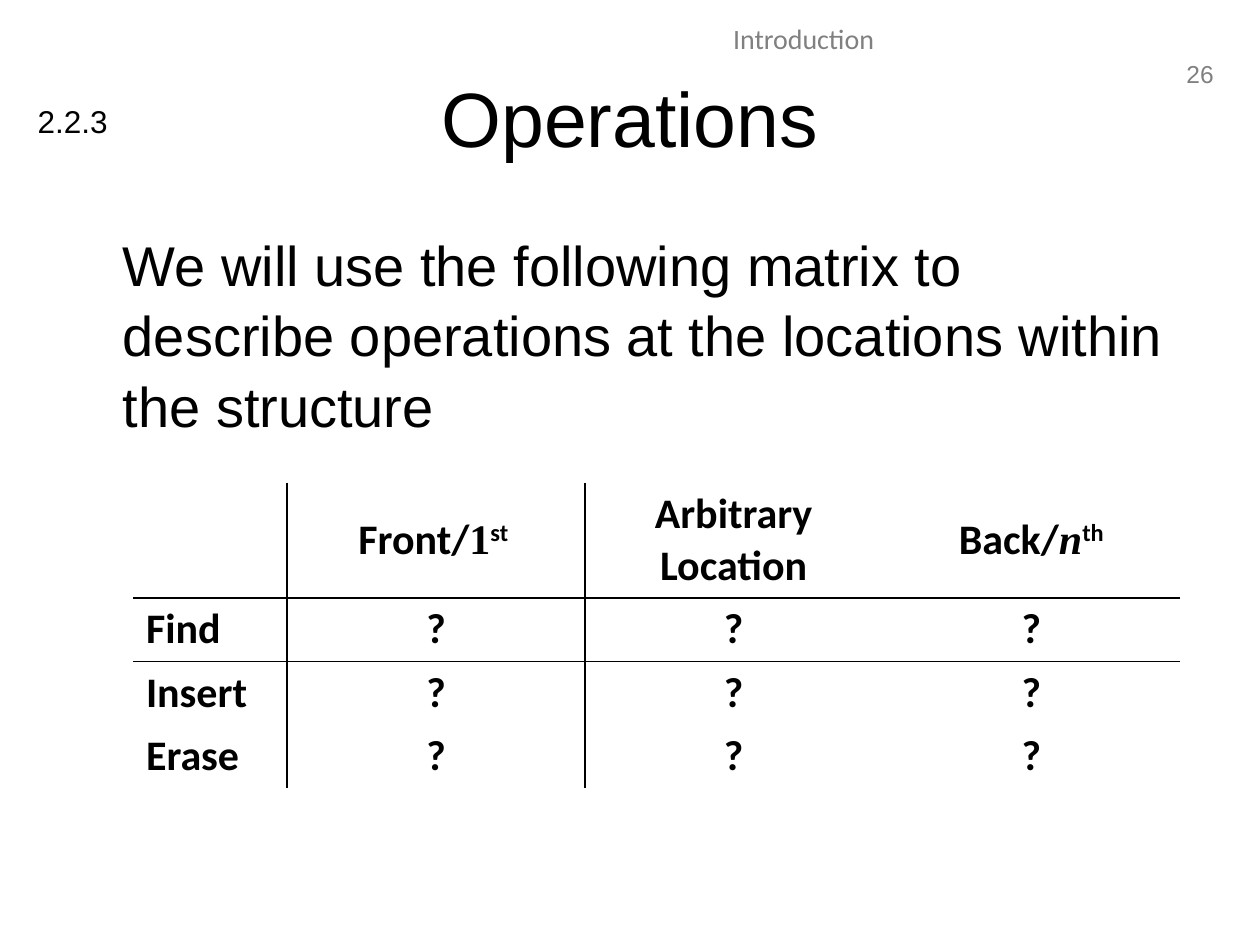
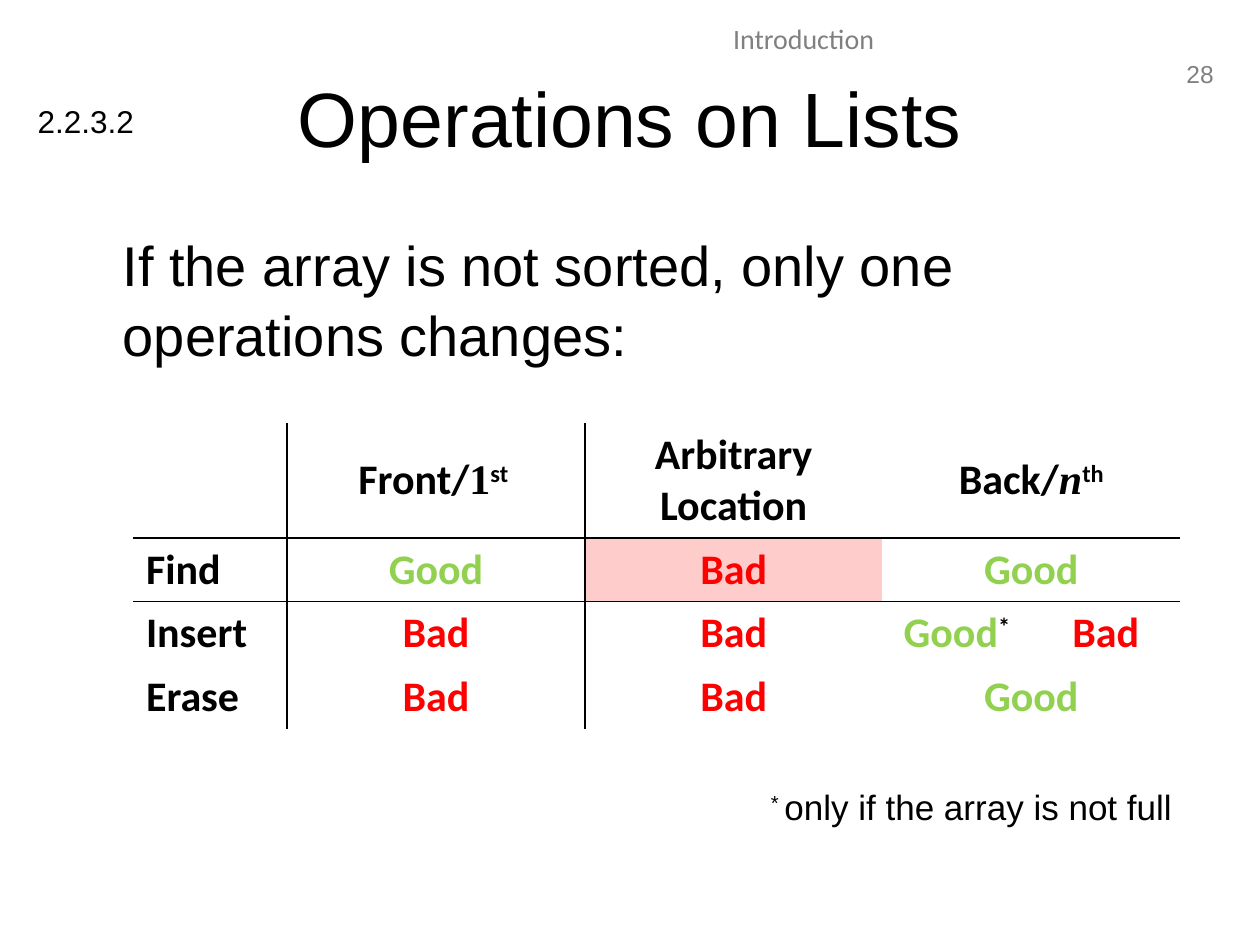
from dataclasses import dataclass, replace

from lxml import etree
from pptx import Presentation
from pptx import util as u
from pptx.dml.color import RGBColor
from pptx.enum import text
from pptx.oxml import ns

BLACK = RGBColor(0x00, 0x00, 0x00)
GREY = RGBColor(0x80, 0x80, 0x80)
GREEN = RGBColor(0x92, 0xD0, 0x50)
RED = RGBColor(0xFF, 0x00, 0x00)
PINK = RGBColor(0xFF, 0xCC, 0xCC)

LEFT, CENTER, RIGHT = text.PP_ALIGN.LEFT, text.PP_ALIGN.CENTER, text.PP_ALIGN.RIGHT


@dataclass(frozen=True)
class Run:
    words: str
    size: int = 24
    font: str = "Calibri"
    color: RGBColor = BLACK
    bold: bool = True
    italic: bool = False
    raised: bool = False


def plain(words, size, font="Arial", color=BLACK):
    return Run(words, size, font, color, bold=False)


FRONT = [[Run("Front/"), Run("1", font="Times New Roman"), Run("st ", raised=True)]]
ARBITRARY = [[Run("Arbitrary")], [Run("Location")]]
BACK = [[Run("Back/"), Run("n", font="Times New Roman", italic=True), Run("th", raised=True)]]
HEADER = [[], FRONT, ARBITRARY, BACK]

UNKNOWN = [[Run("?")]]
GOOD = [[Run("Good", color=GREEN)]]
BAD = [[Run("Bad", color=RED)]]
GOOD_IF_SPACE = [[*GOOD[0], Run("*", raised=True)]]


class LectureDeck:
    label_width = 3.1
    location_width = 6
    header_height = 2.32
    row_height = 1.28

    def __init__(self):
        self.presentation = Presentation()
        self.presentation.slide_width = u.Cm(25.4)
        self.presentation.slide_height = u.Cm(19.05)
        self.slide = None

    def start_slide(self, number, section, section_width, title, sentence):
        layout = self.presentation.slide_layouts[1]
        self.slide = self.presentation.slides.add_slide(layout)
        self.textbox(23.6, 1.07, 1.12, 0.84, [plain(number, 14, color=GREY)], RIGHT, wrap=False)
        self.textbox(8.1, 0.3, 16.2, 1.02, [plain("Introduction", 16, "Calibri", GREY)], CENTER)
        self.textbox(0.51, 1.93, section_width, 1.02, [plain(section, 18)], wrap=False)
        self.title(title)
        self.body(sentence)

    def place(self, shape, left, top, width, height):
        shape.left, shape.top = u.Cm(left), u.Cm(top)
        shape.width, shape.height = u.Cm(width), u.Cm(height)

    def add_runs(self, paragraph, runs, alignment=LEFT):
        paragraph.alignment = alignment
        for item in runs:
            run = paragraph.add_run()
            run.text = item.words
            run.font.name = item.font
            run.font.size = u.Pt(item.size)
            run.font.bold = item.bold
            run.font.italic = item.italic
            run.font.color.rgb = item.color
            if item.raised:
                run.font._element.set("baseline", "30000")

    def title(self, words):
        shape = self.slide.shapes.title
        self.place(shape, 1.27, 0.76, 22.86, 3.18)
        shape.text_frame.auto_size = text.MSO_AUTO_SIZE.NONE
        shape.text_frame.vertical_anchor = text.MSO_ANCHOR.MIDDLE
        self.add_runs(shape.text_frame.paragraphs[0], [plain(words, 44)], CENTER)

    def body(self, sentence):
        shape = self.slide.placeholders[1]
        self.place(shape, 1.27, 4.45, 22.86, 12.57)
        shape.text_frame.auto_size = text.MSO_AUTO_SIZE.NONE
        paragraph = shape.text_frame.paragraphs[0]
        properties = paragraph._p.get_or_add_pPr()
        properties.set("marL", str(u.Cm(0.95)))
        properties.set("indent", "0")
        etree.SubElement(properties, ns.qn("a:buNone"))
        paragraph.space_before = u.Pt(0)
        paragraph.line_spacing = 1.05
        self.add_runs(paragraph, [plain(sentence, 32)])

    def textbox(self, left, top, width, height, runs, alignment=LEFT, wrap=True):
        box = self.slide.shapes.add_textbox(u.Cm(left), u.Cm(top), u.Cm(width), u.Cm(height))
        box.text_frame.word_wrap = wrap
        self.add_runs(box.text_frame.paragraphs[0], runs, alignment)

    def borders(self, cell, visible_sides):
        properties = cell._tc.get_or_add_tcPr()
        for position, side in enumerate("LRTB"):
            line = etree.Element(ns.qn(f"a:ln{side}"), w=str(u.Pt(1)))
            properties.insert(position, line)
            if side in visible_sides:
                fill = etree.SubElement(line, ns.qn("a:solidFill"))
                etree.SubElement(fill, ns.qn("a:srgbClr"), val=str(BLACK))
            else:
                etree.SubElement(line, ns.qn("a:noFill"))

    def fill_cell(self, cell, paragraphs, alignment, anchor):
        cell.vertical_anchor = anchor
        frame = cell.text_frame
        for index, runs in enumerate(paragraphs):
            paragraph = frame.add_paragraph() if index else frame.paragraphs[0]
            self.add_runs(paragraph, runs, alignment)

    def matrix(self, top, operations, highlight=None):
        rows = [HEADER] + [[[[Run(name)]], *ratings] for name, ratings in operations.items()]
        column_count = max(len(row) for row in rows)
        back_columns = column_count - 3
        widths = [self.label_width] + [self.location_width] * 2
        widths += [self.location_width / back_columns] * back_columns
        heights = [self.header_height] + [self.row_height] * len(operations)
        table = self.slide.shapes.add_table(
            len(rows), column_count, u.Cm(2.69), u.Cm(top), u.Cm(sum(widths)), u.Cm(sum(heights))
        ).table
        table.first_row = table.horz_banding = False
        for column, width in zip(table.columns, widths):
            column.width = u.Cm(width)
        for row, height in zip(table.rows, heights):
            row.height = u.Cm(height)

        for row_index, row in enumerate(rows):
            for column_index in range(column_count):
                cell = table.cell(row_index, column_index)
                if (row_index, column_index) == highlight:
                    cell.fill.solid()
                    cell.fill.fore_color.rgb = PINK
                else:
                    cell.fill.background()
                sides = "L" * (column_index in (1, 2)) + "R" * (column_index in (0, 1))
                sides += "T" * (row_index in (1, 2)) + "B" * (row_index in (0, 1))
                self.borders(cell, sides)
            if len(row) < column_count:
                table.cell(row_index, len(row) - 1).merge(table.cell(row_index, column_count - 1))
            anchor = text.MSO_ANCHOR.TOP if row_index else text.MSO_ANCHOR.MIDDLE
            for column_index, paragraphs in enumerate(row):
                alignment = CENTER if column_index else LEFT
                self.fill_cell(table.cell(row_index, column_index), paragraphs, alignment, anchor)


def main():
    deck = LectureDeck()

    deck.start_slide(
        "26", "2.2.3", 1.93, "Operations",
        "We will use the following matrix to describe operations at the locations within the structure",
    )
    deck.matrix(9.73, {name: [UNKNOWN] * 3 for name in ("Find", "Insert", "Erase")})

    deck.start_slide(
        "28", "2.2.3.2", 2.47, "Operations on Lists",
        "If the array is not sorted, only one operations changes:",
    )
    deck.matrix(
        8.53,
        {
            "Find": [GOOD, BAD, GOOD],
            "Insert": [BAD, BAD, GOOD_IF_SPACE, BAD],
            "Erase": [BAD, BAD, GOOD],
        },
        highlight=(1, 2),
    )
    footnote = plain("only if the array is not full", 20)
    deck.textbox(15.29, 15.72, 9.2, 1.11, [replace(footnote, words="* ", raised=True), footnote])

    deck.presentation.save("out.pptx")


if __name__ == "__main__":
    main()
